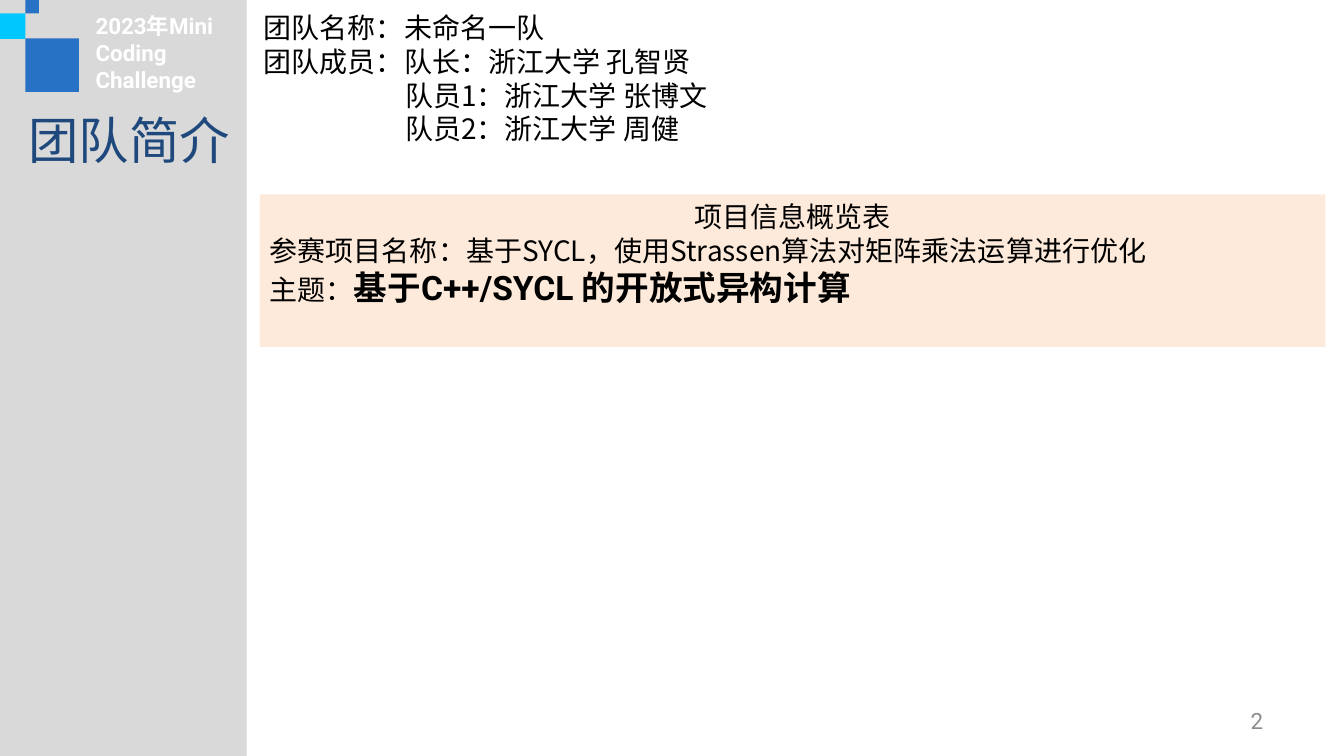
from pptx import Presentation
from pptx.dml.color import RGBColor
from pptx.enum.shapes import MSO_SHAPE
from pptx.enum.text import MSO_ANCHOR, PP_ALIGN
from pptx.oxml.ns import qn
from pptx.util import Cm, Pt

RECTANGLE = MSO_SHAPE.RECTANGLE
TOP, MIDDLE = MSO_ANCHOR.TOP, MSO_ANCHOR.MIDDLE
LEFT, CENTER, RIGHT = PP_ALIGN.LEFT, PP_ALIGN.CENTER, PP_ALIGN.RIGHT

COLORS = {
    "sidebar": "D9D9D9",
    "blue": "2872C5",
    "cyan": "00C7FD",
    "title": "1F497D",
    "panel": "FDEADA",
    "text": "000000",
    "number": "8C8C8C",
    "badge": "FFFFFF",
}
CHINESE_FONT = "Noto Sans CJK SC"
LATIN_FONT = "Roboto"


def add_rectangle(shapes, left, top, width, height, color):
    shape = shapes.add_shape(RECTANGLE, Cm(left), Cm(top), Cm(width), Cm(height))
    shape.shadow.inherit = False
    shape.fill.solid()
    shape.fill.fore_color.rgb = RGBColor.from_string(COLORS[color])
    shape.line.fill.background()
    return shape


def format_paragraph(paragraph, size, color, font=CHINESE_FONT, bold=False, align=LEFT):
    paragraph.alignment = align
    paragraph.line_spacing = Pt(round(size * 1.2))
    for run in paragraph.runs:
        run.font.size = Pt(size)
        run.font.bold = bold
        run.font.name = font
        run.font.color.rgb = RGBColor.from_string(COLORS[color])
        east_asian = run.font._element.makeelement(qn("a:ea"), {"typeface": CHINESE_FONT})
        run.font._element.find(qn("a:latin")).addnext(east_asian)


presentation = Presentation()
presentation.slide_width = Cm(33.87)
presentation.slide_height = Cm(19.05)
slide = presentation.slides.add_slide(presentation.slide_layouts[5])
shapes = slide.shapes

# Sidebar with a cluster of squares
add_rectangle(shapes, 0, 0, 6.22, 19.05, "sidebar")
squares = shapes.add_group_shape()
for left, top, side, color in [
    (0.64, 0.97, 1.35, "blue"),
    (0, 0.34, 0.64, "cyan"),
    (0.64, 0, 0.34, "blue"),
]:
    add_rectangle(squares.shapes, left, top, side, side, color)

# Title, brought in front of the sidebar
title = shapes.title
shapes._spTree.append(title._element)
title.left, title.top, title.width, title.height = Cm(0.46), Cm(2.62), Cm(5.64), Cm(1.8)
title.text_frame.text = "团队简介"
title.text_frame.word_wrap = False
title.text_frame.vertical_anchor = TOP
format_paragraph(title.text_frame.paragraphs[0], 36, "title")

# Slide number
number = shapes.add_textbox(Cm(24.26), Cm(17.65), Cm(7.9), Cm(1.02))
number.text_frame.text = "2"
number.text_frame.word_wrap = True
number.text_frame.vertical_anchor = MIDDLE
number.text_frame.margin_right = Cm(0.33)
format_paragraph(number.text_frame.paragraphs[0], 16, "number", LATIN_FONT, align=RIGHT)

# Team members, the last two indented under the leader
team = shapes.add_textbox(Cm(6.4), Cm(0.15), Cm(26.85), Cm(3.68))
team.text_frame.word_wrap = True
team.text_frame.text = "\n".join([
    "团队名称：未命名一队",
    "团队成员：队长：浙江大学 孔智贤",
    "队员1：浙江大学 张博文",
    "队员2：浙江大学 周健",
])
for paragraph in team.text_frame.paragraphs:
    format_paragraph(paragraph, 20, "text")
for paragraph in team.text_frame.paragraphs[2:]:
    paragraph._p.get_or_add_pPr().set("marL", str(Cm(3.56)))

# Project overview panel
panel = add_rectangle(shapes, 6.55, 4.9, 26.85, 3.84, "panel")
panel.text_frame.word_wrap = True
panel.text_frame.vertical_anchor = TOP
panel.text_frame.text = "\n".join([
    "项目信息概览表",
    "参赛项目名称：基于SYCL，使用Strassen算法对矩阵乘法运算进行优化",
    "主题：",
])
heading, project, theme = panel.text_frame.paragraphs
format_paragraph(heading, 20, "text", align=CENTER)
format_paragraph(project, 20, "text")
format_paragraph(theme, 20, "text")
theme_name = theme.add_run()
theme_name.text = "基于C++/SYCL 的开放式异构计算"
theme_name.font.size = Pt(24)
theme_name.font.bold = True
theme_name.font.name = LATIN_FONT
theme_name.font.color.rgb = RGBColor.from_string(COLORS["text"])
theme.line_spacing = Pt(29)

# Event name beside the squares
badge = shapes.add_textbox(Cm(2.16), Cm(0.2), Cm(3.81), Cm(2.31))
badge.text_frame.word_wrap = True
badge.text_frame.margin_right = 0
badge.text_frame.text = "2023年Mini Coding Challenge"
format_paragraph(badge.text_frame.paragraphs[0], 16, "badge", LATIN_FONT, bold=True)

presentation.save("out.pptx")
